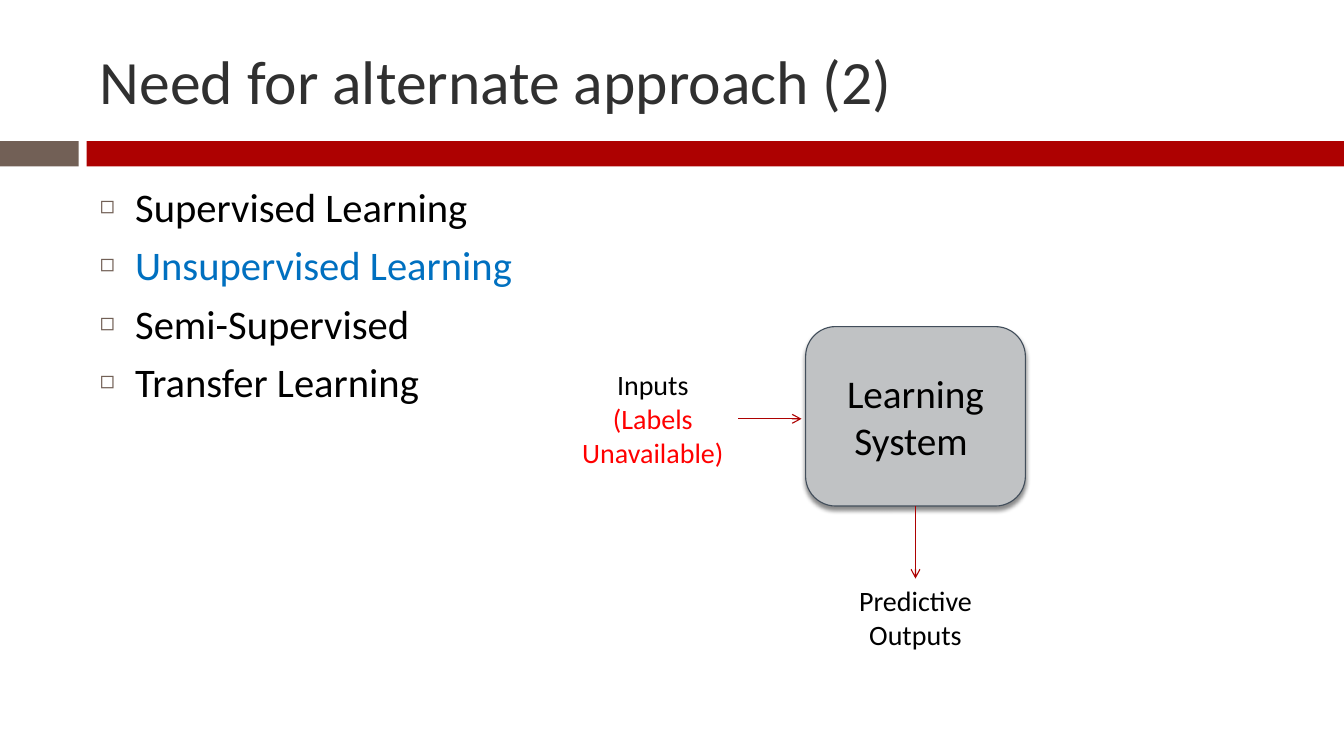
from lxml import etree
from pptx import Presentation
from pptx.dml.color import RGBColor
from pptx.enum import shapes, text
from pptx.oxml import ns
from pptx.util import Inches, Pt

FONT = "Calibri"
COLORS = {
    "taupe": "726056", "red": "AD0101", "title": "303030", "black": "000000",
    "blue": "0070C0", "bright_red": "FF0000", "gray": "C0C2C4", "outline": "424E5B",
}
TITLE = "Need for alternate approach (2)"
TOPICS = [
    ("Supervised Learning", "black"),
    ("Unsupervised Learning", "blue"),
    ("Semi-Supervised", "black"),
    ("Transfer Learning", "black"),
]
SYSTEM_LINES = ["Learning", "System "]
INPUTS = [("Inputs ", "black"), ("(Labels Unavailable)", "bright_red")]
OUTPUTS = [("Predictive Outputs", "black")]

# Left, top, width, height in inches
BANDS = [((0, 1.4, 0.78, 0.25), "taupe"), ((0.86, 1.4, 12.47, 0.25), "red")]
TITLE_AREA = (0.89, 0.25, 11.89, 1.08)
BODY_AREA = (0.89, 1.75, 11.89, 4.92)
SYSTEM_AREA = (7.99, 3.24, 2.18, 1.78)
INPUTS_AREA = (5.63, 3.6, 1.69, 1.11)
OUTPUTS_AREA = (8.37, 5.74, 1.42, 0.77)
ARROW_GAP = 0.04


def rgb(name):
    return RGBColor.from_string(COLORS[name])


def inches(area):
    return [Inches(value) for value in area]


def place(shape, area):
    shape.left, shape.top, shape.width, shape.height = inches(area)


def add_xml(parent, tag, **attributes):
    return etree.SubElement(parent, ns.qn(tag), attributes)


def add_span(para, words, size, color):
    span = para.add_run()
    span.text = words
    span.font.name = FONT
    span.font.size = Pt(size)
    span.font.color.rgb = rgb(color)


def add_bullet(para):
    """Give the paragraph a small hollow square and a hanging indent."""
    para.space_before = Pt(7)
    properties = para._p.get_or_add_pPr()
    properties.set("marL", str(Inches(0.35)))
    properties.set("indent", str(Inches(-0.35)))
    add_xml(add_xml(properties, "a:buClr"), "a:srgbClr", val=COLORS["taupe"])
    add_xml(properties, "a:buSzPct", val="60000")
    add_xml(properties, "a:buChar", char="◻")


def add_filled(page, kind, area, color):
    shape = page.shapes.add_shape(kind, *inches(area))
    shape.shadow.inherit = False
    shape.fill.solid()
    shape.fill.fore_color.rgb = rgb(color)
    shape.line.fill.background()
    return shape


def add_system(page):
    box = add_filled(page, shapes.MSO_SHAPE.ROUNDED_RECTANGLE, SYSTEM_AREA, "gray")
    box.line.color.rgb = rgb("outline")
    box.line.width = Pt(0.79)
    effects = box._element.spPr.find(ns.qn("a:effectLst"))
    shadow = add_xml(effects, "a:outerShdw", blurRad=str(Pt(3)), dist=str(Pt(2.4)),
                     dir="5400000", rotWithShape="0")
    shade = add_xml(shadow, "a:srgbClr", val=COLORS["black"])
    add_xml(shade, "a:alpha", val="45000")
    frame = box.text_frame
    frame.vertical_anchor = text.MSO_ANCHOR.MIDDLE
    for index, words in enumerate(SYSTEM_LINES):
        para = frame.add_paragraph() if index else frame.paragraphs[0]
        para.alignment = text.PP_ALIGN.CENTER
        add_span(para, words, 28, "black")
    return box


def add_label(page, area, spans):
    box = page.shapes.add_textbox(*inches(area))
    box.text_frame.word_wrap = True
    box.text_frame.auto_size = text.MSO_AUTO_SIZE.SHAPE_TO_FIT_TEXT
    para = box.text_frame.paragraphs[0]
    para.alignment = text.PP_ALIGN.CENTER
    for words, color in spans:
        add_span(para, words, 20, color)
    return box


def add_arrow(page, start, side, end):
    """Draw an arrow from the middle of a shape's side to a point."""
    arrow = page.shapes.add_connector(shapes.MSO_CONNECTOR.STRAIGHT, 0, 0, *end)
    arrow.begin_connect(start, side)
    arrow.line.color.rgb = rgb("red")
    arrow.line.width = Pt(0.79)
    add_xml(arrow.line._get_or_add_ln(), "a:tailEnd", type="arrow")
    add_xml(arrow._element.spPr, "a:effectLst")
    return arrow


def main():
    deck = Presentation()
    deck.slide_width, deck.slide_height = Inches(13.33), Inches(7.5)
    page = deck.slides.add_slide(deck.slide_layouts[1])

    for area, color in BANDS:
        add_filled(page, shapes.MSO_SHAPE.RECTANGLE, area, color)

    title = page.shapes.title
    place(title, TITLE_AREA)
    title.text_frame.vertical_anchor = text.MSO_ANCHOR.MIDDLE
    title.text_frame.auto_size = text.MSO_AUTO_SIZE.NONE
    title_para = title.text_frame.paragraphs[0]
    title_para.alignment = text.PP_ALIGN.LEFT
    add_span(title_para, TITLE, 44, "title")

    body = page.placeholders[1]
    place(body, BODY_AREA)
    body.text_frame.auto_size = text.MSO_AUTO_SIZE.NONE
    for index, (topic, color) in enumerate(TOPICS):
        para = body.text_frame.add_paragraph() if index else body.text_frame.paragraphs[0]
        add_bullet(para)
        add_span(para, topic, 29, color)

    system = add_system(page)
    inputs = add_label(page, INPUTS_AREA, INPUTS)
    outputs = add_label(page, OUTPUTS_AREA, OUTPUTS)

    inputs_middle = inputs.top + inputs.height // 2
    add_arrow(page, inputs, 3, (system.left - Inches(ARROW_GAP), inputs_middle))
    outputs_center = outputs.left + outputs.width // 2
    output_arrow = add_arrow(page, system, 2, (outputs_center, outputs.top))
    output_arrow.end_connect(outputs, 0)

    deck.save("out.pptx")


if __name__ == "__main__":
    main()
